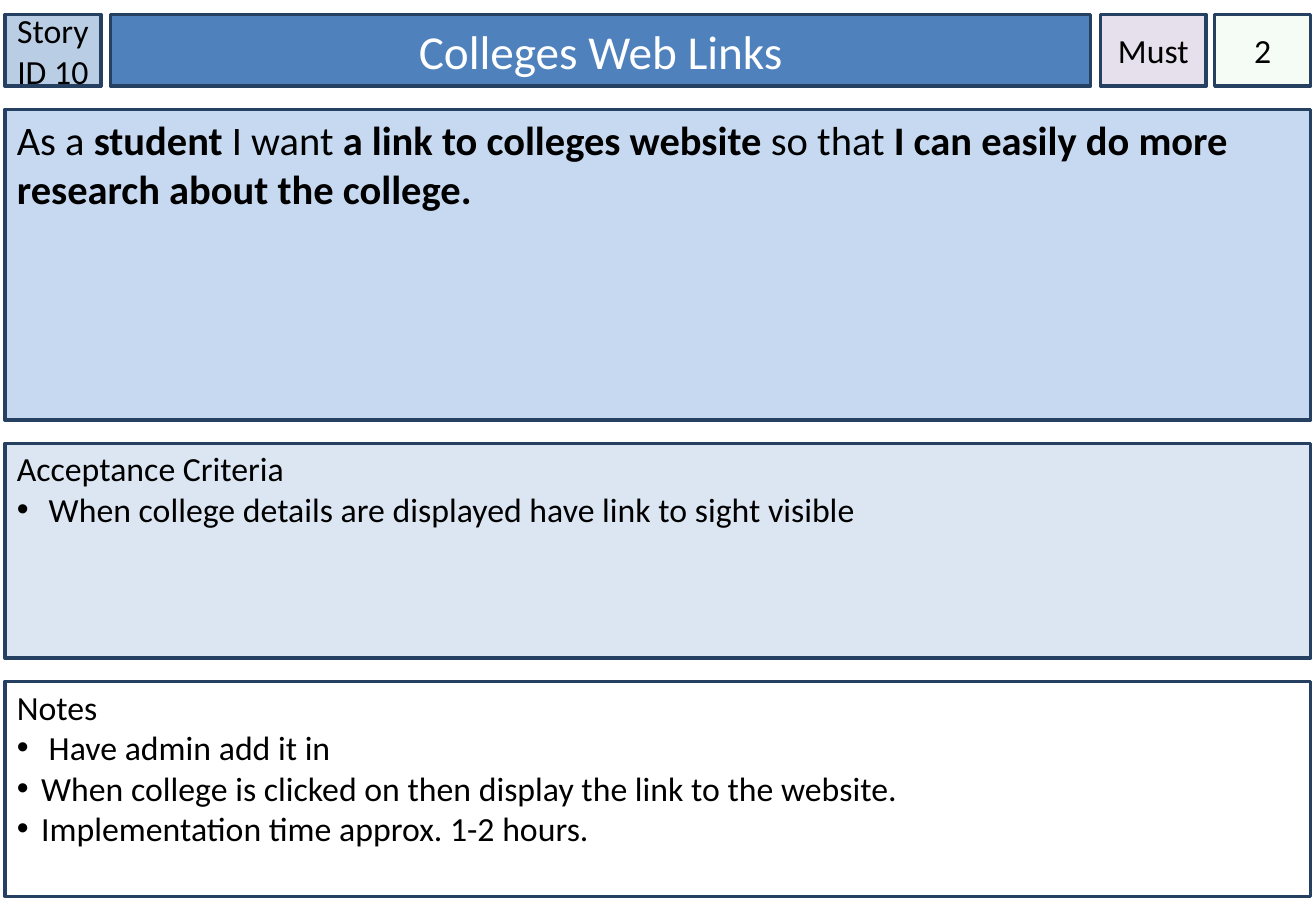
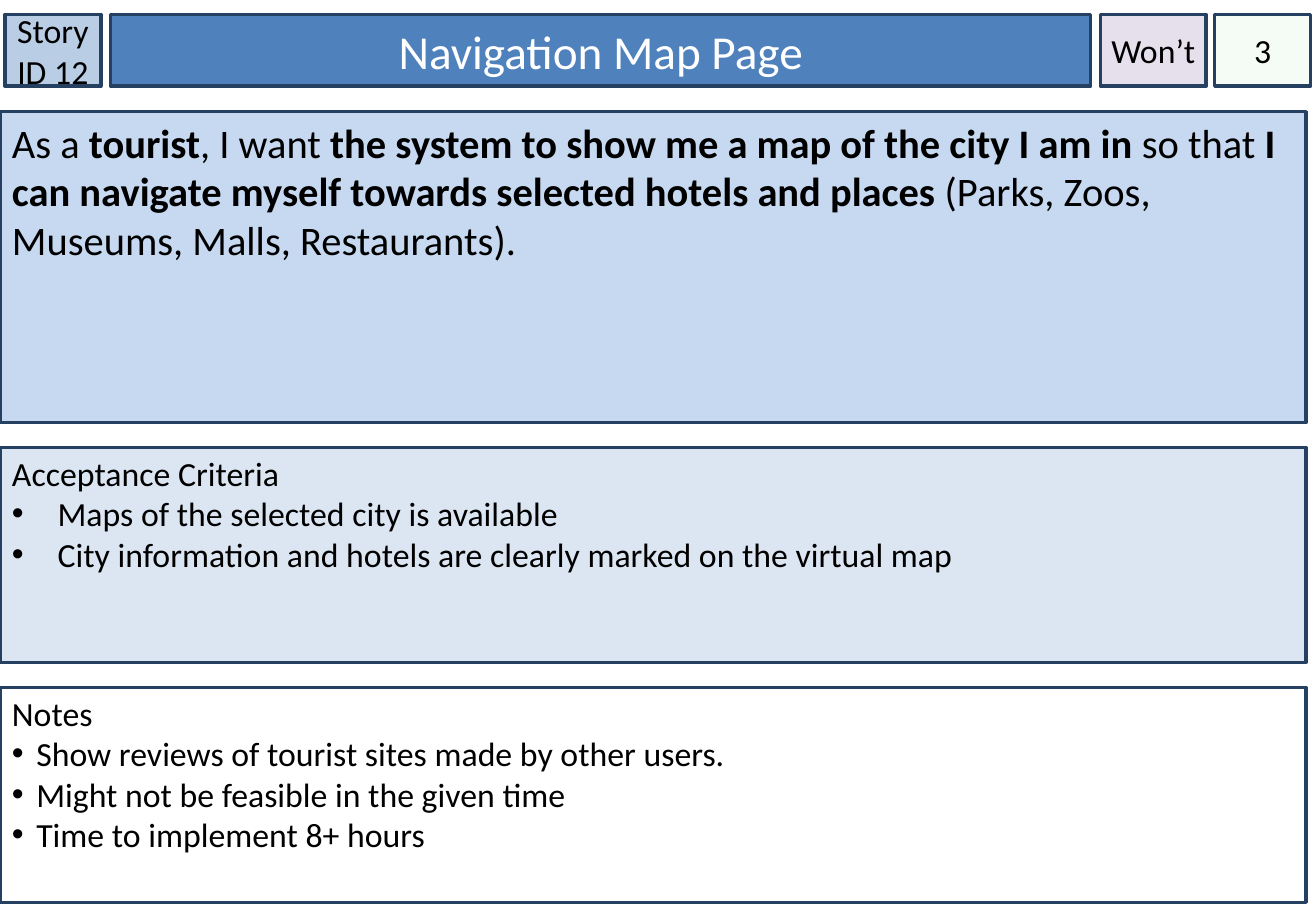
from dataclasses import dataclass

from lxml import etree
from pptx import Presentation
from pptx.dml.color import RGBColor
from pptx.enum.shapes import MSO_SHAPE
from pptx.enum.text import MSO_ANCHOR, MSO_AUTO_SIZE, PP_ALIGN
from pptx.oxml.ns import qn
from pptx.util import Pt

RECT = MSO_SHAPE.RECTANGLE
TOP, MIDDLE = MSO_ANCHOR.TOP, MSO_ANCHOR.MIDDLE
LEFT, CENTER = PP_ALIGN.LEFT, PP_ALIGN.CENTER
NO_FIT = MSO_AUTO_SIZE.NONE
TITLE_ONLY = 5


@dataclass(frozen=True)
class Theme:
    """Colours, type sizes and font of the story cards."""
    font: str = "Calibri"
    title_size: float = 28
    story_size: float = 24
    body_size: float = 20
    line_width: float = 2
    line: str = "254061"
    text: str = "000000"
    title_text: str = "FFFFFF"
    title: str = "4F81BD"
    story_id: str = "B9CDE5"
    priority: str = "E6E0EC"
    estimate: str = "CCF0CD"
    story: str = "C6D9F1"
    criteria: str = "DCE6F2"
    notes: str = "FFFFFF"


THEME = Theme()

HEADER_TOP, HEADER_HEIGHT = 8.6, 42.5
PANEL_WIDTH = 774
STORY_HEIGHT, LIST_HEIGHT = 184.3, 127.4
BADGE_INSETS = (0, 3.6, 0, 3.6)
STORY_INSETS = (7.2, 3.6, 7.2, 3.6)
LIST_INSETS = (7.2, 2.9, 7.2, 3.6)

# In a story, asterisks enclose the bold parts.
CARDS = [
    dict(
        story_id="Story ID 10", title="Colleges Web Links",
        priority="Must", estimate="2",
        left=2.9, top=64.8, gap=13.7, criteria_indent=14.4,
        story="As a *student* I want *a link to colleges website *so that "
              "*I can easily do more research about the college.*",
        criteria=[" When college details are displayed have link to sight visible"],
        notes=[" Have admin add it in",
               "When college is clicked on then display the link to the website.",
               "Implementation time approx. 1-2 hours."],
    ),
    dict(
        story_id="Story ID 12", title="Navigation Map Page",
        priority="Won’t", estimate="3",
        left=0, top=66.2, gap=14.8, criteria_indent=27,
        story="As a *tourist*, I want *the system to show me a map of the city "
              "I am in *so that *I can navigate myself towards selected hotels "
              "and places *(Parks, Zoos, Museums, Malls, Restaurants).",
        criteria=["Maps of the selected city is available",
                  "City information and hotels are clearly marked on the virtual map"],
        notes=["Show reviews of tourist sites made by other users.",
               "Might not be feasible in the given time",
               "Time to implement 8+ hours"],
    ),
]


def write(p, text, *, size=THEME.body_size, color=THEME.text, align=LEFT):
    """Write text into a paragraph; parts between asterisks are bold."""
    p.alignment = align
    for i, part in enumerate(text.split("*")):
        if not part:
            continue
        r = p.add_run()
        r.text = part
        r.font.name = THEME.font
        r.font.size = Pt(size)
        r.font.bold = i % 2 == 1
        r.font.color.rgb = RGBColor.from_string(color)


def add_bullet(p, indent):
    """Give a paragraph a bullet with a hanging indent."""
    pPr = p._p.get_or_add_pPr()
    pPr.set("marL", str(Pt(indent)))
    pPr.set("indent", str(-Pt(indent)))
    etree.SubElement(pPr, qn("a:buFont"), typeface="Arial")
    etree.SubElement(pPr, qn("a:buChar"), char="•")


def set_opacity(sp, percent):
    """Make the solid fill of a shape partly transparent."""
    color = sp.fill._xPr.find(qn("a:solidFill"))[0]
    etree.SubElement(color, qn("a:alpha"), val=str(percent * 1000))


def style_box(sp, fill, *, insets=STORY_INSETS, anchor=TOP, wrap=True):
    """Apply fill, outline and text frame settings; return the text frame."""
    sp.fill.solid()
    sp.fill.fore_color.rgb = RGBColor.from_string(fill)
    sp.line.color.rgb = RGBColor.from_string(THEME.line)
    sp.line.width = Pt(THEME.line_width)
    tf = sp.text_frame
    tf.auto_size = NO_FIT
    tf.word_wrap = wrap
    tf.vertical_anchor = anchor
    tf.margin_left, tf.margin_top, tf.margin_right, tf.margin_bottom = map(Pt, insets)
    return tf


def add_rect(slide, left, top, width, height):
    """Add a rectangle without a shadow."""
    sp = slide.shapes.add_shape(RECT, Pt(left), Pt(top), Pt(width), Pt(height))
    sp.shadow.inherit = False
    return sp


def add_title(slide, text):
    """Move and format the title placeholder as the header bar."""
    sp = slide.shapes.title
    sp.left, sp.top = Pt(65.5), Pt(HEADER_TOP)
    sp.width, sp.height = Pt(581), Pt(HEADER_HEIGHT)
    tf = style_box(sp, THEME.title, anchor=MIDDLE)
    write(tf.paragraphs[0], text, size=THEME.title_size,
          color=THEME.title_text, align=CENTER)


def add_badge(slide, text, left, width, fill, *, wrap=True):
    """Add a small centred box to the header row."""
    sp = add_rect(slide, left, HEADER_TOP, width, HEADER_HEIGHT)
    tf = style_box(sp, fill, insets=BADGE_INSETS, anchor=MIDDLE, wrap=wrap)
    write(tf.paragraphs[0], text, align=CENTER)
    return sp


def add_story(slide, text, left, top):
    """Add the panel with the user story."""
    sp = add_rect(slide, left, top, PANEL_WIDTH, STORY_HEIGHT)
    tf = style_box(sp, THEME.story)
    write(tf.paragraphs[0], text, size=THEME.story_size)


def add_list(slide, heading, items, left, top, fill, *, indent=14.4):
    """Add a panel with a heading and bulleted items."""
    sp = add_rect(slide, left, top, PANEL_WIDTH, LIST_HEIGHT)
    tf = style_box(sp, fill, insets=LIST_INSETS)
    write(tf.paragraphs[0], heading)
    for item in items:
        p = tf.add_paragraph()
        write(p, item)
        add_bullet(p, indent)


def add_card(prs, card):
    """Add one slide with a story card."""
    slide = prs.slides.add_slide(prs.slide_layouts[TITLE_ONLY])
    add_title(slide, card["title"])
    add_badge(slide, card["story_id"], 2.9, 56.9, THEME.story_id)
    add_badge(slide, card["priority"], 652.3, 62.6, THEME.priority, wrap=False)
    estimate = add_badge(slide, card["estimate"], 720, 56.9, THEME.estimate)
    set_opacity(estimate, 20)

    left, gap = card["left"], card["gap"]
    criteria_top = card["top"] + STORY_HEIGHT + gap
    notes_top = criteria_top + LIST_HEIGHT + gap
    add_story(slide, card["story"], left, card["top"])
    add_list(slide, "Acceptance Criteria", card["criteria"], left, criteria_top,
             THEME.criteria, indent=card["criteria_indent"])
    add_list(slide, "Notes", card["notes"], left, notes_top, THEME.notes)


def main():
    """Build and save the story cards."""
    prs = Presentation()
    prs.slide_width, prs.slide_height = Pt(780), Pt(540)
    for card in CARDS:
        add_card(prs, card)
    prs.save("out.pptx")


main()
